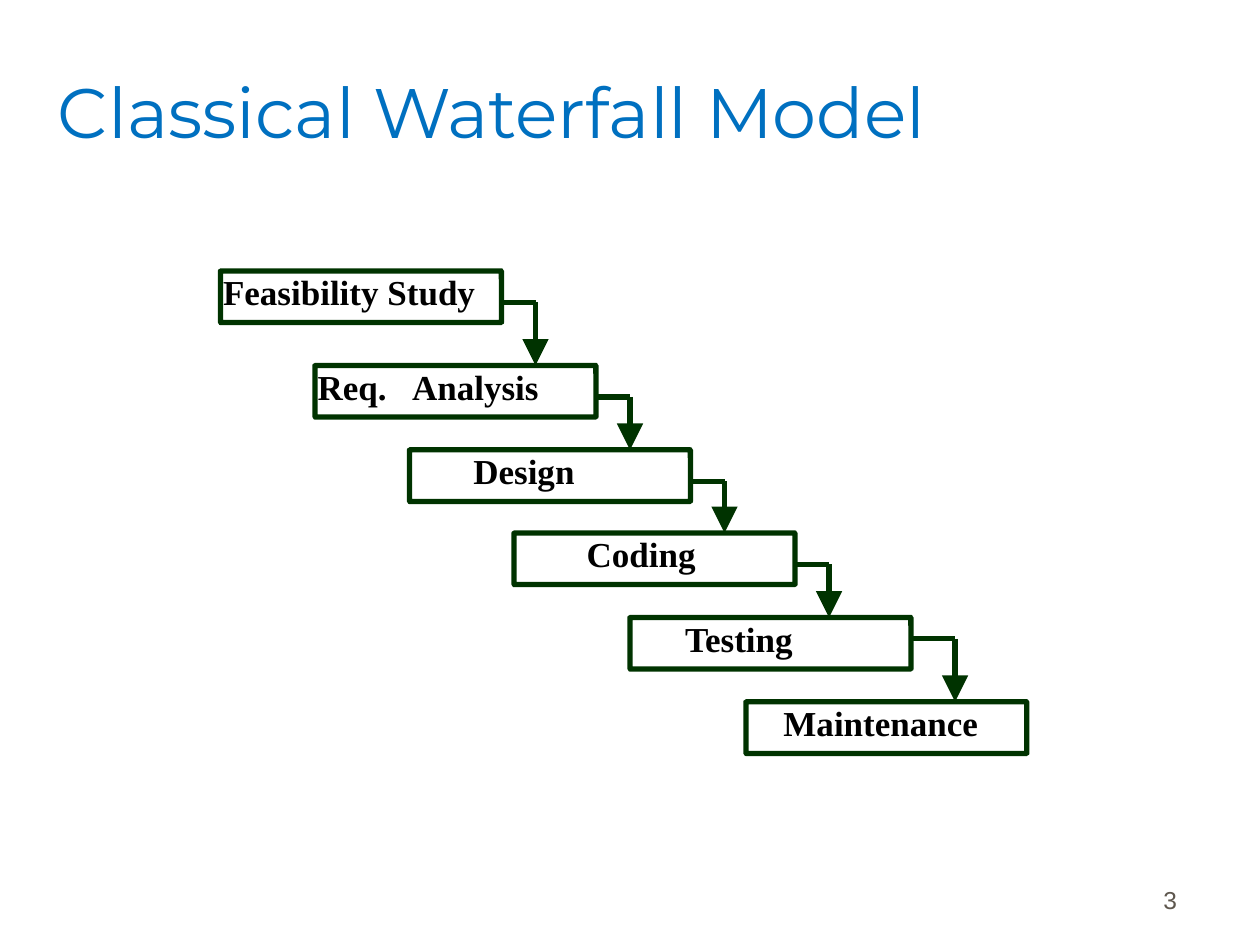
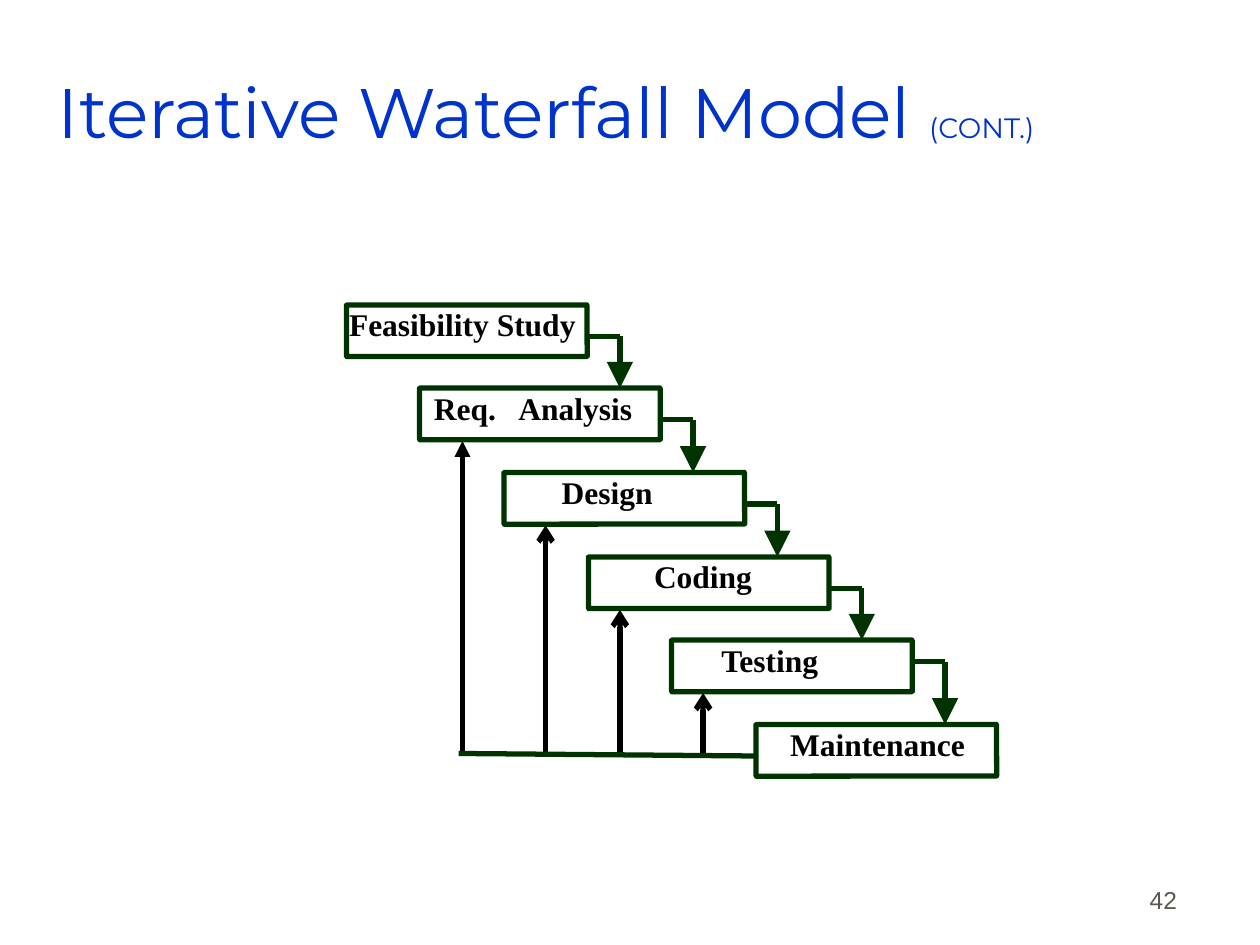
from pptx import Presentation
from pptx.dml.color import RGBColor
from pptx.enum.shapes import MSO_CONNECTOR as Link, MSO_SHAPE as Shape
from pptx.enum.text import MSO_ANCHOR as Anchor, MSO_AUTO_SIZE as Fit, PP_ALIGN as Align
from pptx.oxml.ns import qn
from pptx.util import Inches, Pt
from lxml.etree import SubElement

# Shared style
GREEN, BLACK, GREY = "003300", "000000", "5E574E"
HIGH = 0.41          # box height
PAD = 0.02           # box left inset

# Content: each phase has a label and an indent in quarter ems
PHASES = [("Feasibility Study", 0), ("Req.\tAnalysis", 0), ("Design", 7),
          ("Coding", 8), ("Testing", 6), ("Maintenance", 4)]
DROPS = [0.25, 0.25, 0.25, 0.25, 0.17]   # link start below each box top

SLIDES = [
    {"title": [("Classical Waterfall Model", 40)], "color": "0070C0", "num": "3",
     "size": 20, "wide": 2.23, "tab": 0.75, "shift": 0,
     "lefts": [1.75, 2.5, 3.25, 4.08, 5, 5.92],
     "tops": [2.15, 2.9, 3.57, 4.23, 4.9, 5.57],
     "reach": [2.5, 2.5, 2.5, 2.5, 2.58], "back": []},
    {"title": [("Iterative Waterfall Model ", 40), ("(CONT.)", 16)],
     "color": "0033CC", "num": "42",
     "size": 18, "wide": 1.91, "tab": 0.67, "shift": 1.5,
     "lefts": [2.75, 3.33, 4, 4.67, 5.33, 6],
     "tops": [2.42, 3.08, 3.75, 4.42, 5.08, 5.75],
     "reach": [2.17] * 5,
     # Feedback arrows: phase index, x, head
     "back": [(4, 5.58, "arrow"), (2, 4.33, "arrow"),
              (3, 4.92, "arrow"), (1, 3.67, "triangle")]},
]


def rgb(code):
    return RGBColor.from_string(code)


def style(font, name, size, color, bold=False):
    font.name, font.size, font.bold = name, Pt(size), bold
    font.color.rgb = rgb(color)


def inset(frame, left, right, anchor):
    frame.margin_left, frame.margin_right = Inches(left), Inches(right)
    frame.margin_top = frame.margin_bottom = Inches(0.05)
    frame.vertical_anchor, frame.word_wrap = anchor, True
    frame.auto_size = Fit.NONE


def head(slide, data):
    """Title and slide number."""
    title = slide.shapes.title
    title.left, title.top = Inches(0.44), Inches(0.25)
    title.width, title.height = Inches(8.5), Inches(1.25)
    inset(title.text_frame, PAD, PAD, Anchor.MIDDLE)
    para = title.text_frame.paragraphs[0]
    para.alignment = Align.LEFT
    for text, size in data["title"]:
        run = para.add_run()
        run.text = text
        style(run.font, "Montserrat", size, data["color"])

    box = slide.shapes.add_textbox(Inches(7.36), Inches(6.81), Inches(2.08), Inches(0.5))
    inset(box.text_frame, 0.1, 0.1, Anchor.BOTTOM)
    para = box.text_frame.paragraphs[0]
    para.text, para.alignment = data["num"], Align.RIGHT
    style(para.font, "Arial", 14, GREY)


def phase(slide, data, left, top, text, pad):
    """Outlined box with its label."""
    box = slide.shapes.add_shape(Shape.ROUNDED_RECTANGLE, Inches(left), Inches(top),
                                 Inches(data["wide"]), Inches(HIGH))
    box.adjustments[0] = 0.004
    box.shadow.inherit = False
    box.fill.background()
    box.line.color.rgb, box.line.width = rgb(GREEN), Pt(3)
    inset(box.text_frame, PAD + pad * data["size"] / 4 / 72, 0, Anchor.TOP)
    para = box.text_frame.paragraphs[0]
    para.text, para.alignment, para.line_spacing = text, Align.LEFT, 0.85
    if "\t" in text:
        tabs = SubElement(para._p.get_or_add_pPr(), qn("a:tabLst"))
        SubElement(tabs, qn("a:tab"), pos=str(Inches(data["tab"])), algn="l")
    style(para.font, "Times New Roman", data["size"], BLACK, True)


def line(slide, start, end, color, tip=None, scale="med"):
    link = slide.shapes.add_connector(Link.STRAIGHT, *map(Inches, start + end))
    link.line.color.rgb, link.line.width = rgb(color), Pt(3)
    if tip:
        SubElement(link.line._get_or_add_ln(), qn("a:tailEnd"),
                   type=tip, w=scale, len=scale)
    SubElement(link._element.spPr, qn("a:effectLst"))


def build(slide, data):
    head(slide, data)
    lefts, tops = data["lefts"], data["tops"]
    for i, (text, pad) in enumerate(PHASES):
        extra = data["shift"] if i == 1 else 0
        phase(slide, data, lefts[i], tops[i], text, pad + extra)

    # Steps down to the next phase
    for i, (drop, reach) in enumerate(zip(DROPS, data["reach"])):
        y, turn = tops[i] + drop, lefts[i] + reach
        line(slide, (lefts[i] + data["wide"], y), (turn, y), GREEN)
        line(slide, (turn, y), (turn, tops[i + 1]), GREEN, "triangle", "lg")

    # Feedback from the last phase
    if data["back"]:
        for i, x, tip in data["back"]:
            line(slide, (x, 6), (x, tops[i] + HIGH + 0.01), BLACK, tip)
        line(slide, (lefts[-1], 6), (3.64, 5.98), GREEN)


def main():
    deck = Presentation()
    deck.slide_width, deck.slide_height = Inches(10), Inches(7.5)
    for data in SLIDES:
        build(deck.slides.add_slide(deck.slide_layouts[5]), data)
    deck.save("out.pptx")


if __name__ == "__main__":
    main()
